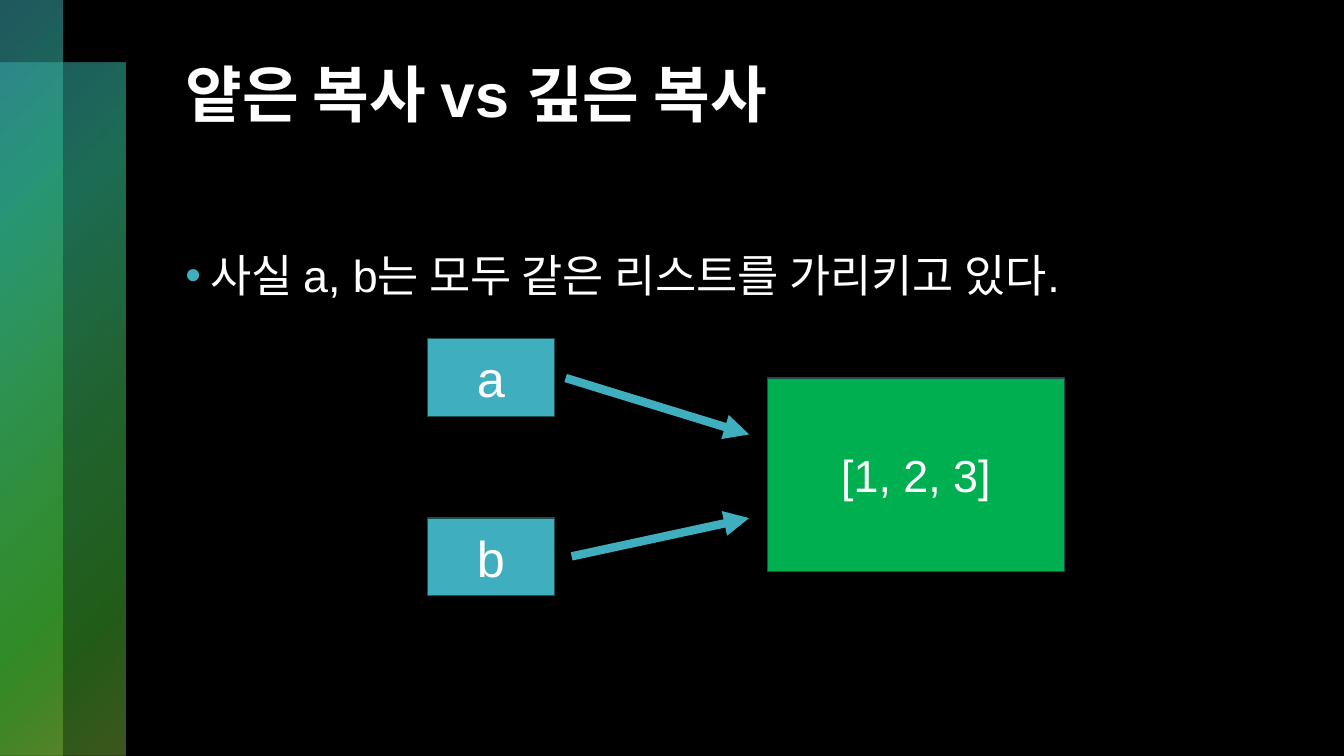
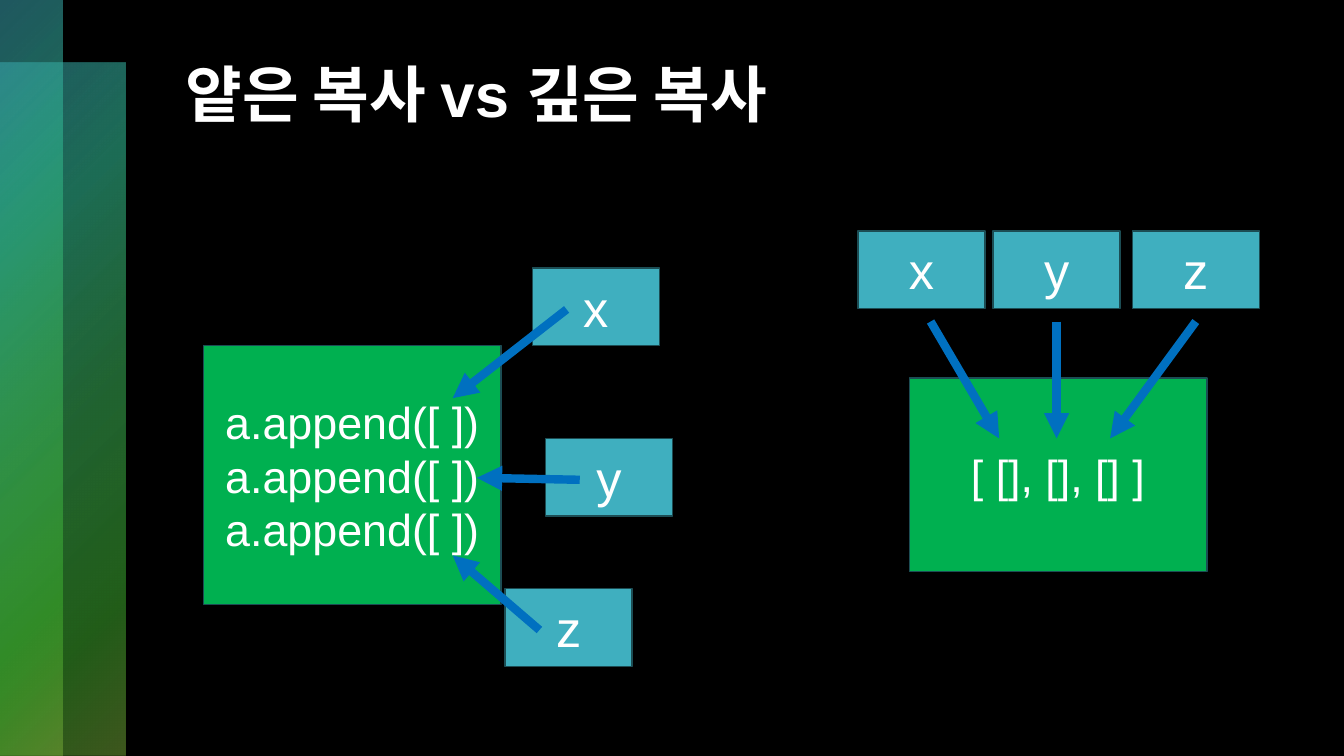
from lxml.etree import SubElement
from pptx import Presentation
from pptx.dml.color import RGBColor
from pptx.enum.shapes import MSO_CONNECTOR as Connector, MSO_SHAPE as Shape
from pptx.enum.text import MSO_ANCHOR as Anchor, MSO_AUTO_SIZE as AutoSize, PP_ALIGN as Align
from pptx.oxml import parse_xml
from pptx.oxml.ns import nsdecls, qn
from pptx.util import Inches, Pt

TEAL, GREEN, BLUE = "3FAFBF", "00B050", "0070C0"
WHITE, BLACK, OUTLINE = "FFFFFF", "000000", "1C4D54"
FONT = "Arial"
# Band gradient: position, colour, opacity (all in percent)
BAND_STOPS = [(0, TEAL, 50), (25, "30B58E", 60), (50, "3CB65F", 55),
              (81, "43B931", 50), (99, "7AAF3A", 50)]
TITLE = "얕은 복사 vs 깊은 복사"


def color(value):
    return RGBColor.from_string(value)


class Deck:
    """Holds the shared style and the current slide."""

    def __init__(self):
        self.presentation = Presentation()
        self.presentation.slide_width = Inches(13.33)
        self.presentation.slide_height = Inches(7.5)
        background = self.presentation.slide_master.background.fill
        background.solid()
        background.fore_color.rgb = color(BLACK)
        self.slide = None

    def new_slide(self, title):
        self.slide = self.presentation.slides.add_slide(self.presentation.slide_layouts[5])
        self.band(0, 0.62, 1.24, 6.88)
        self.band(0, 0, 0.62, 7.5)
        placeholder = self.slide.shapes.title
        placeholder.left, placeholder.top = Inches(1.74), Inches(0.5)
        placeholder.width, placeholder.height = Inches(10.37), Inches(1.7)
        frame = placeholder.text_frame
        frame.auto_size = AutoSize.NONE
        frame.vertical_anchor = Anchor.TOP
        self.add_text(frame.paragraphs[0], title, 44, Align.LEFT, bold=True)

    def add_text(self, paragraph, text, size, align, bold=False):
        paragraph.alignment = align
        run = paragraph.add_run()
        run.text = text
        run.font.name = FONT
        run.font.size = Pt(size)
        run.font.bold = bold
        run.font.color.rgb = color(WHITE)

    def rectangle(self, left, top, width, height):
        shape = self.slide.shapes.add_shape(
            Shape.RECTANGLE, Inches(left), Inches(top), Inches(width), Inches(height))
        shape.shadow.inherit = False
        return shape

    def band(self, left, top, width, height):
        shape = self.rectangle(left, top, width, height)
        shape.line.fill.background()
        stops = "".join(
            f'<a:gs pos="{position * 1000}"><a:srgbClr val="{value}">'
            f'<a:alpha val="{opacity * 1000}"/></a:srgbClr></a:gs>'
            for position, value, opacity in BAND_STOPS)
        gradient = parse_xml(
            f'<a:gradFill {nsdecls("a")} rotWithShape="1"><a:gsLst>{stops}</a:gsLst>'
            '<a:path path="circle"><a:fillToRect r="100000" b="100000"/></a:path>'
            '<a:tileRect l="-100000" t="-100000"/></a:gradFill>')
        shape.element.spPr.find(qn("a:prstGeom")).addnext(gradient)

    def box(self, left, top, width, height, lines, fill, size):
        shape = self.rectangle(left, top, width, height)
        shape.fill.solid()
        shape.fill.fore_color.rgb = color(fill)
        shape.line.color.rgb = color(OUTLINE)
        shape.line.width = Pt(1)
        frame = shape.text_frame
        frame.vertical_anchor = Anchor.MIDDLE
        for index, line in enumerate(lines):
            paragraph = frame.add_paragraph() if index else frame.paragraphs[0]
            self.add_text(paragraph, line, size, Align.CENTER)

    def variable(self, name, left, top):
        self.box(left, top, 1.26, 0.77, [name], TEAL, 36)

    def value(self, lines, left, top, height=1.92):
        self.box(left, top, 2.95, height, lines, GREEN, 32)

    def arrow(self, start, end, stroke):
        connector = self.slide.shapes.add_connector(
            Connector.STRAIGHT, *(Inches(length) for length in (*start, *end)))
        connector.line.color.rgb = color(stroke)
        connector.line.width = Pt(6)
        properties = connector.element.spPr
        SubElement(properties.find(qn("a:ln")), qn("a:tailEnd"), type="triangle")
        SubElement(properties, qn("a:effectLst"))

    def bullet(self, text, left, top, width, height):
        text_box = self.slide.shapes.add_textbox(
            Inches(left), Inches(top), Inches(width), Inches(height))
        text_box.text_frame.word_wrap = True
        paragraph = text_box.text_frame.paragraphs[0]
        self.add_text(paragraph, text, 32, Align.LEFT)
        paragraph.line_spacing = 1.1
        paragraph.space_before = Pt(12)
        properties = paragraph._p.get_or_add_pPr()
        properties.set("marL", str(Inches(0.25)))
        properties.set("indent", str(Inches(-0.25)))
        bullet_color = SubElement(properties, qn("a:buClr"))
        SubElement(bullet_color, qn("a:srgbClr"), val=TEAL)
        SubElement(properties, qn("a:buFont"), typeface=FONT)
        SubElement(properties, qn("a:buChar"), char="•")


def main():
    deck = Deck()

    # Two names, one list
    deck.new_slide(TITLE)
    deck.bullet("사실 a, b는 모두 같은 리스트를 가리키고 있다.", 1.74, 2.36, 10.37, 4.29)
    deck.value(["[1, 2, 3]"], 7.61, 3.75)
    for name, top, start, end in [("a", 3.36, (5.61, 3.75), (7.43, 4.31)),
                                  ("b", 5.14, (5.67, 5.52), (7.43, 5.14))]:
        deck.variable(name, 4.24, top)
        deck.arrow(start, end, TEAL)

    # Nested lists, each with its own name
    deck.new_slide(TITLE)
    deck.value(["a.append([ ])"] * 3, 2.02, 3.43, 2.57)
    deck.value(["[ [], [], [] ]"], 9.02, 3.75)

    # Names beside the append calls: arrows start inside the boxes
    for name, left, top, end in [("x", 5.28, 2.66, (4.49, 3.95)),
                                 ("y", 5.41, 4.35, (4.73, 4.74)),
                                 ("z", 5.01, 5.84, (4.49, 5.51))]:
        deck.variable(name, left, top)
        deck.arrow((left + 0.34, top + 0.41), end, BLUE)

    # Names above the nested list: arrows start below the boxes
    for name, left, start, end in [("x", 8.51, 9.23, 9.91),
                                   ("y", 9.85, 10.48, 10.48),
                                   ("z", 11.23, 11.86, 11.01)]:
        deck.variable(name, left, 2.29)
        deck.arrow((start, 3.19), (end, 4.35), BLUE)

    deck.presentation.save("out.pptx")


if __name__ == "__main__":
    main()
